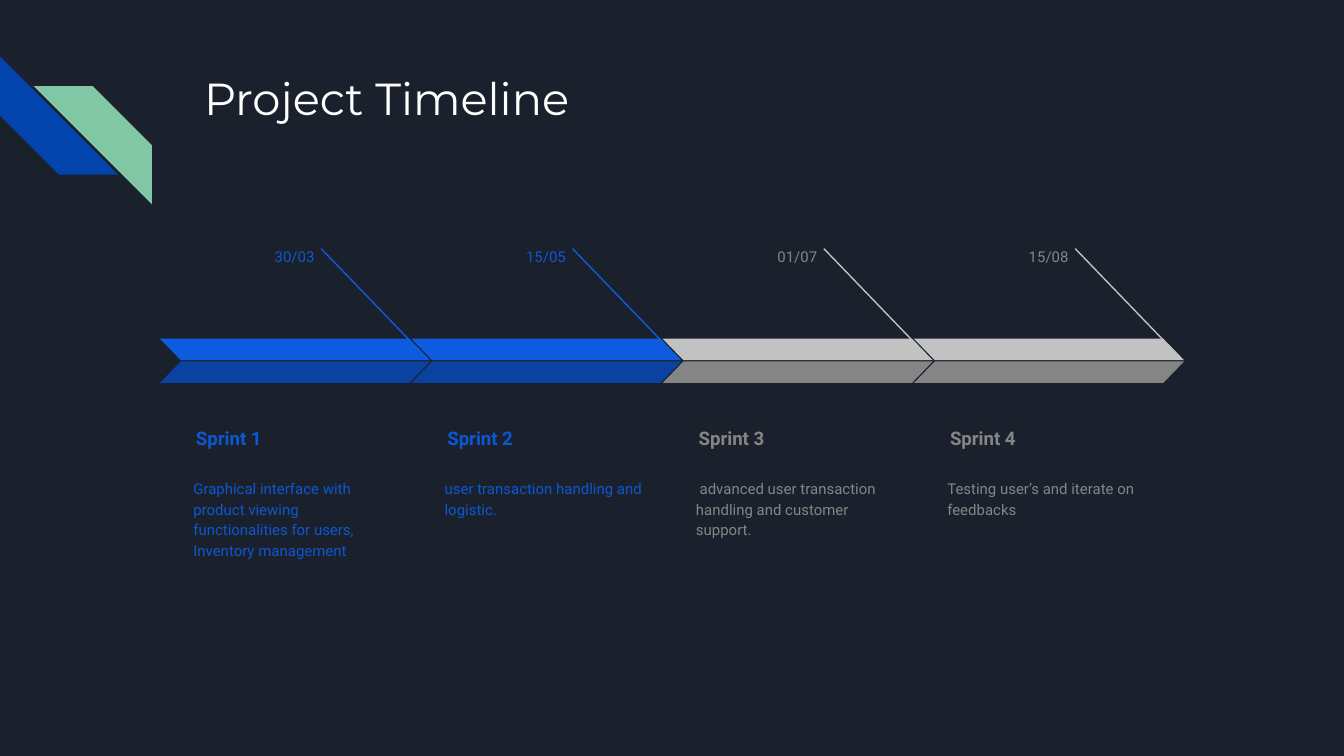
from dataclasses import dataclass

import pptx
import pptx.dml.color
import pptx.enum.shapes
import pptx.enum.text
import pptx.oxml.ns
import pptx.util
from lxml import etree
from pptx.util import Inches

SHAPES = pptx.enum.shapes.MSO_SHAPE
ALIGN = pptx.enum.text.PP_ALIGN
ANCHOR = pptx.enum.text.MSO_ANCHOR


@dataclass(frozen=True)
class Theme:
    background: str = "1B212C"
    title: str = "FFFFFF"
    stripe_blue: str = "0145AC"
    stripe_green: str = "82C7A5"
    title_font: str = "Montserrat"
    body_font: str = "Roboto"
    title_size: float = 24
    heading_size: float = 10
    body_size: float = 8
    line_width: float = 0.75


@dataclass(frozen=True)
class Palette:
    text: str
    upper: str
    lower: str


@dataclass(frozen=True)
class Box:
    left: float
    top: float
    width: float
    height: float

    def lengths(self) -> list[pptx.util.Length]:
        return [Inches(v) for v in (self.left, self.top, self.width, self.height)]


@dataclass(frozen=True)
class TextStyle:
    font: str
    size: float
    color: str
    bold: bool = False
    align: ALIGN = ALIGN.LEFT
    anchor: ANCHOR = ANCHOR.TOP
    line_spacing: float = 1.15
    space_after: float = 0


@dataclass(frozen=True)
class Sprint:
    date: str
    name: str
    goal: str
    palette: Palette


THEME = Theme()
REACHED = Palette("0C57D3", "0D5CDF", "0942A1")
UPCOMING = Palette("858585", "C2C2C2", "858585")
SPRINTS = [
    Sprint("30/03", "Sprint 1", "Graphical interface with product viewing "
           "functionalities for users, Inventory management", REACHED),
    Sprint("15/05", "Sprint 2", "user transaction handling and logistic.", REACHED),
    Sprint("01/07", "Sprint 3",
           " advanced user transaction handling and customer support.", UPCOMING),
    Sprint("15/08", "Sprint 4", "Testing user’s and iterate on feedbacks", UPCOMING),
]
FIRST_LEFT = 1.19
SPRINT_PITCH = 1.87


def rgb(color: str) -> pptx.dml.color.RGBColor:
    return pptx.dml.color.RGBColor.from_string(color)


def add_text(slide: pptx.slide.Slide, box: Box, text: str, style: TextStyle) -> None:
    frame = slide.shapes.add_textbox(*box.lengths()).text_frame
    frame.word_wrap = True
    frame.auto_size = pptx.enum.text.MSO_AUTO_SIZE.NONE
    frame.vertical_anchor = style.anchor
    frame.margin_left = frame.margin_right = Inches(0.1)
    frame.margin_top = frame.margin_bottom = Inches(0.1)
    paragraph = frame.paragraphs[0]
    paragraph.text = text
    paragraph.alignment = style.align
    paragraph.line_spacing = style.line_spacing
    paragraph.space_after = pptx.util.Pt(style.space_after)
    paragraph.font.name = style.font
    paragraph.font.size = pptx.util.Pt(style.size)
    paragraph.font.bold = style.bold
    paragraph.font.color.rgb = rgb(style.color)


def add_band(slide: pptx.slide.Slide, kind: SHAPES, box: Box, color: str,
             slant: float, flipped: bool = False, rotation: float = 0) -> None:
    """Draw a borderless slanted shape, mirrored left to right if flipped."""
    band = slide.shapes.add_shape(kind, *box.lengths())
    band.shadow.inherit = False
    band.adjustments[0] = slant
    band.rotation = rotation
    band.fill.solid()
    band.fill.fore_color.rgb = rgb(color)
    band.line.fill.background()
    if flipped:
        band._element.spPr.xfrm.set("flipH", "1")


def add_leader(slide: pptx.slide.Slide, left: float, color: str) -> None:
    """Draw the line that leads from a date down to the end of its band."""
    leader = slide.shapes.add_connector(
        pptx.enum.shapes.MSO_CONNECTOR.STRAIGHT,
        Inches(left), Inches(1.85), Inches(left + 0.79), Inches(2.67))
    leader.line.color.rgb = rgb(color)
    leader.line.width = pptx.util.Pt(THEME.line_width)
    etree.SubElement(leader._element.spPr, pptx.oxml.ns.qn("a:effectLst"))


def add_sprint(slide: pptx.slide.Slide, sprint: Sprint, left: float) -> None:
    colors = sprint.palette
    date_style = TextStyle(THEME.body_font, THEME.body_size, colors.text,
                           align=ALIGN.RIGHT, space_after=16)
    name_style = TextStyle(THEME.body_font, THEME.heading_size, colors.text,
                           bold=True, anchor=ANCHOR.BOTTOM)
    goal_style = TextStyle(THEME.body_font, THEME.body_size, colors.text,
                           space_after=16)
    add_text(slide, Box(left + 0.57, 1.72, 0.68, 0.26), sprint.date, date_style)
    add_text(slide, Box(left + 0.17, 2.95, 1.65, 0.49), sprint.name, name_style)
    add_text(slide, Box(left + 0.15, 3.45, 1.69, 0.81), sprint.goal, goal_style)
    add_leader(slide, left + 1.2, colors.upper)
    add_band(slide, SHAPES.PARALLELOGRAM, Box(left, 2.52, 2.01, 0.16),
             colors.upper, slant=0.97, flipped=True)
    add_band(slide, SHAPES.PARALLELOGRAM, Box(left, 2.69, 2.01, 0.16),
             colors.lower, slant=0.97)


def main() -> None:
    deck = pptx.Presentation()
    deck.slide_width = Inches(10)
    deck.slide_height = deck.slide_width * 9 // 16
    slide = deck.slides.add_slide(deck.slide_layouts[6])
    slide.background.fill.solid()
    slide.background.fill.fore_color.rgb = rgb(THEME.background)

    add_band(slide, SHAPES.DIAGONAL_STRIPE, Box(0, 0.42, 0.88, 0.88),
             THEME.stripe_blue, slant=0.5, rotation=270)
    add_band(slide, SHAPES.DIAGONAL_STRIPE, Box(0.25, 0.64, 0.88, 0.88),
             THEME.stripe_green, slant=0.5, flipped=True)
    add_text(slide, Box(1.42, 0.43, 7.7, 1), "Project Timeline",
             TextStyle(THEME.title_font, THEME.title_size, THEME.title,
                       line_spacing=1.0))
    for index, sprint in enumerate(SPRINTS):
        add_sprint(slide, sprint, FIRST_LEFT + index * SPRINT_PITCH)

    deck.save("out.pptx")


if __name__ == "__main__":
    main()
